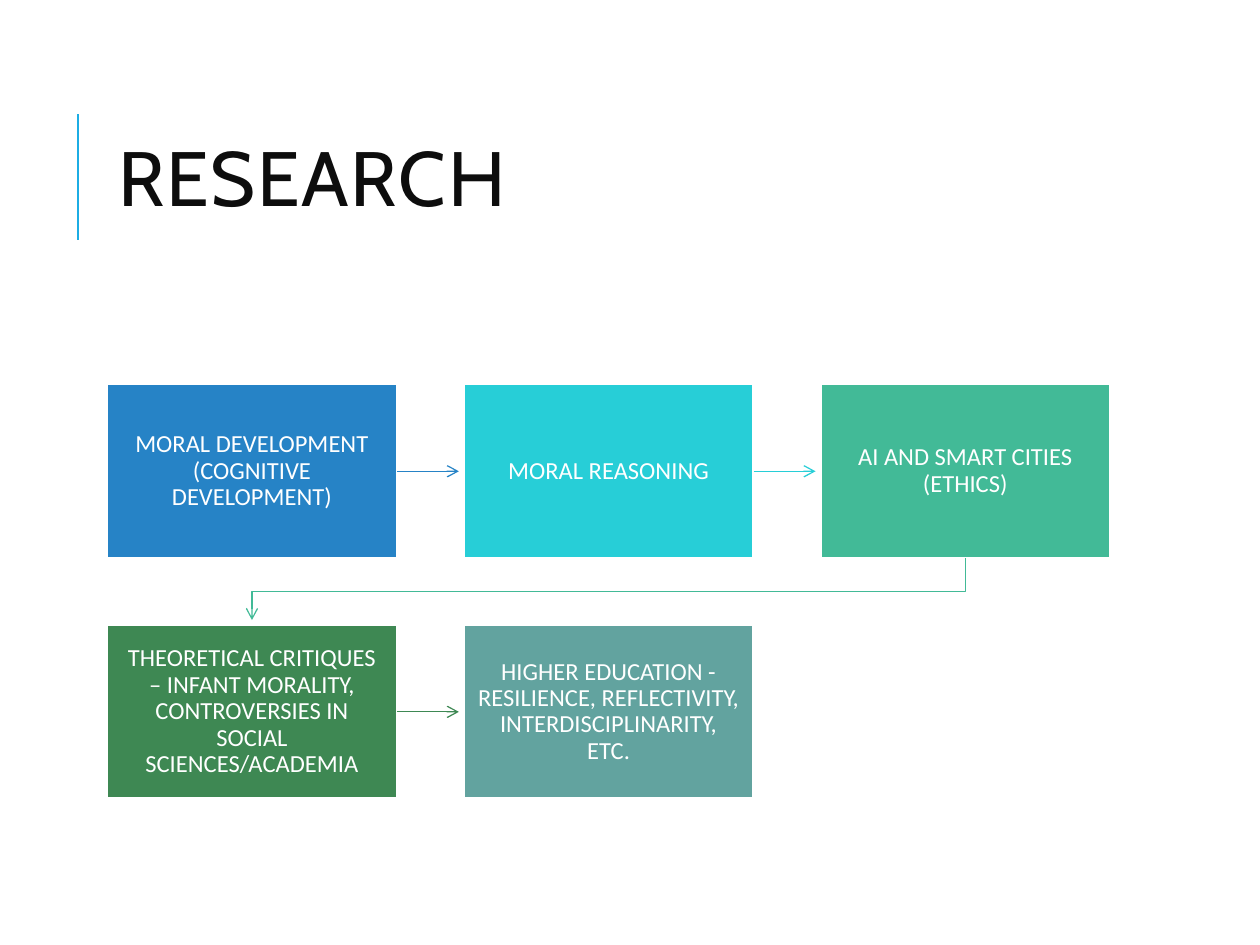
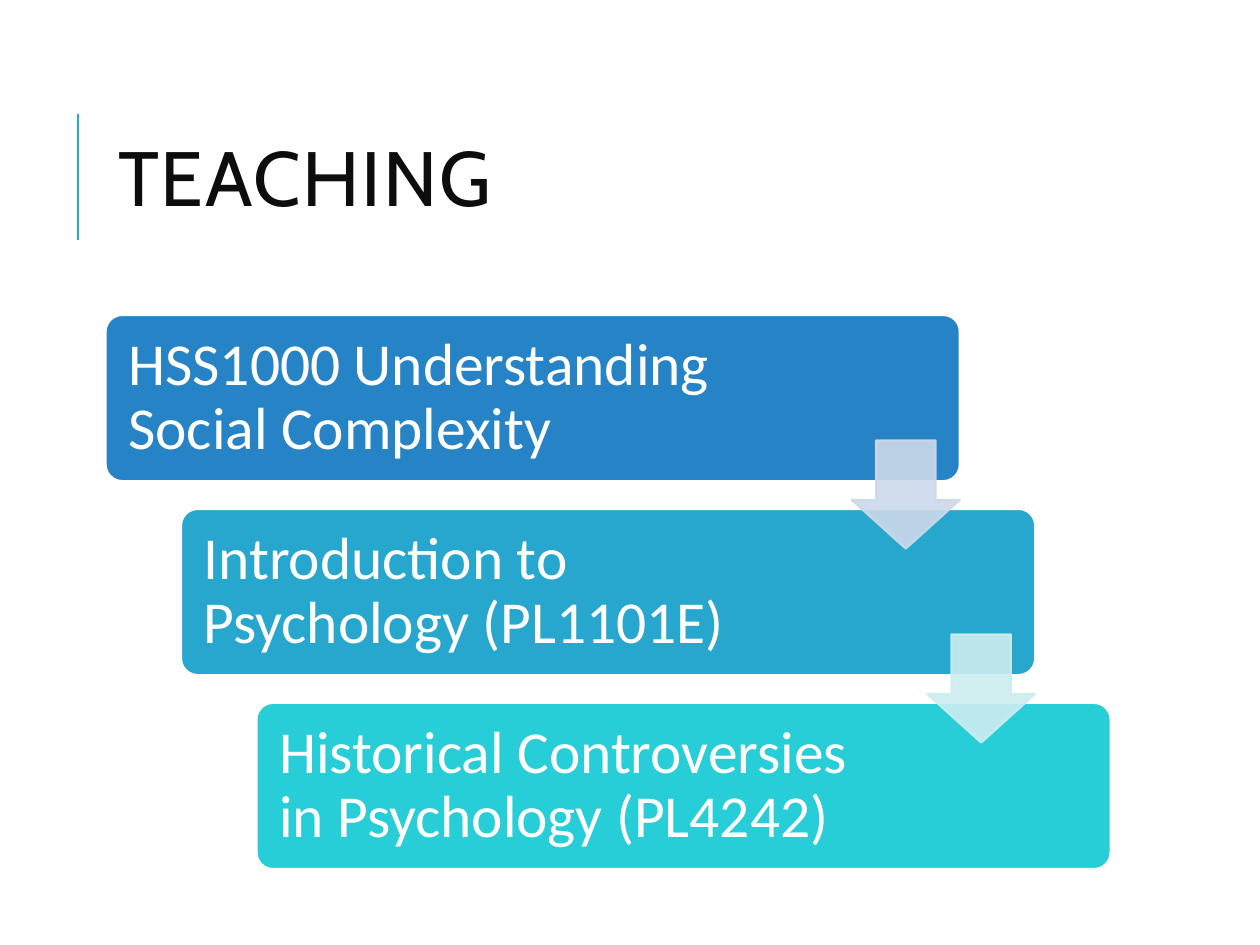
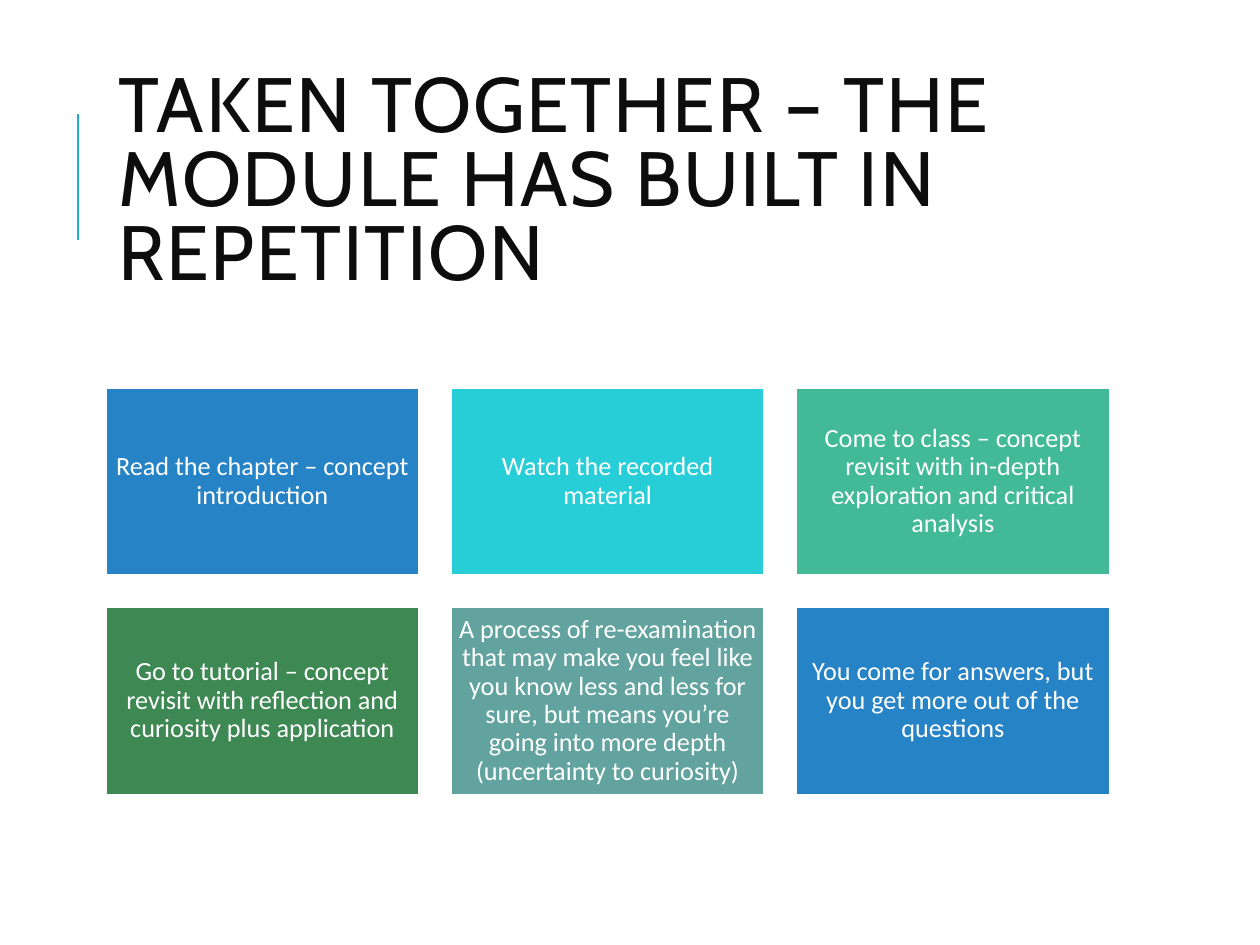
from dataclasses import dataclass
from itertools import cycle, pairwise

from lxml.etree import SubElement
from pptx import Presentation
from pptx.dml.color import RGBColor
from pptx.enum.shapes import MSO_CONNECTOR, MSO_SHAPE
from pptx.enum.text import MSO_ANCHOR, MSO_AUTO_SIZE, PP_ALIGN
from pptx.oxml.ns import qn
from pptx.util import Cm, Pt


@dataclass(frozen=True)
class Theme:
    title_font: str = "Cabin"
    body_font: str = "Calibri"
    title_size: int = 44
    course_size: int = 34
    topic_size: int = 14
    step_size: int = 15
    ink: str = "0D0D0D"
    white: str = "FFFFFF"
    accent: str = "1CADE4"
    tiles: tuple = ("2683C6", "27CED7", "42BA97", "3E8853", "62A39F")
    courses: tuple = ("2683C6", "27A7CE", "27CED7")
    course_arrows: tuple = ("CDD9EA", "CDEDF0")


@dataclass(frozen=True)
class Box:
    """A region, with its lengths in centimetres."""
    left: float
    top: float
    width: float
    height: float

    def lengths(self):
        return Cm(self.left), Cm(self.top), Cm(self.width), Cm(self.height)


THEME = Theme()
TITLE_BOX = Box(2.13, 1.63, 20.24, 4.17)

TOPICS = (
    "MORAL DEVELOPMENT (COGNITIVE DEVELOPMENT)",
    "MORAL REASONING",
    "AI AND SMART CITIES (ETHICS)",
    "THEORETICAL CRITIQUES – INFANT MORALITY, CONTROVERSIES IN SOCIAL SCIENCES/ACADEMIA",
    "HIGHER EDUCATION - RESILIENCE, REFLECTIVITY, INTERDISCIPLINARITY, ETC.",
)
COURSES = (
    "HSS1000 Understanding Social Complexity",
    "Introduction to Psychology (PL1101E)",
    "Historical Controversies in Psychology (PL4242)",
)
STEPS = (
    "Read the chapter – concept introduction",
    "Watch the recorded material",
    "Come to class – concept revisit with in-depth exploration and critical analysis",
    "Go to tutorial – concept revisit with reflection and curiosity plus application",
    "A process of re-examination that may make you feel like you know less and less "
    "for sure, but means you’re going into more depth (uncertainty to curiosity)",
    "You come for answers, but you get more out of the questions",
)


def write(shape, text, font, size, color, line_spacing, align=PP_ALIGN.LEFT):
    frame = shape.text_frame
    frame.word_wrap = True
    frame.auto_size = MSO_AUTO_SIZE.NONE
    frame.vertical_anchor = MSO_ANCHOR.MIDDLE
    para = frame.paragraphs[0]
    para.alignment = align
    para.line_spacing = line_spacing
    span = para.add_run()
    span.text = text
    span.font.name = font
    span.font.size = Pt(size)
    span.font.color.rgb = RGBColor.from_string(color)
    return span


def set_margins(shape, left, top, right, bottom):
    frame = shape.text_frame
    frame.margin_left, frame.margin_top = Cm(left), Cm(top)
    frame.margin_right, frame.margin_bottom = Cm(right), Cm(bottom)


def add_filled(slide, kind, box, fill, outline):
    shape = slide.shapes.add_shape(kind, *box.lengths())
    shape.shadow.inherit = False
    shape.fill.solid()
    shape.fill.fore_color.rgb = RGBColor.from_string(fill)
    shape.line.color.rgb = RGBColor.from_string(outline)
    shape.line.width = Pt(1.25)
    return shape


def set_opacity(shape, percent):
    for color in shape.element.spPr.iter(qn("a:srgbClr")):
        SubElement(color, qn("a:alpha"), val=str(percent * 1000))


def style_line(line_shape, color, width, arrow=False):
    line_shape.line.color.rgb = RGBColor.from_string(color)
    line_shape.line.width = Pt(width)
    properties = line_shape.element.spPr
    if arrow:
        SubElement(properties.find(qn("a:ln")), qn("a:tailEnd"), type="arrow")
    if properties.find(qn("a:effectLst")) is None:
        SubElement(properties, qn("a:effectLst"))


def prepare_layout(deck):
    """Place the title and the accent rule on the layout all slides share."""
    layout = deck.slide_layouts.get_by_name("Title Only")
    title = layout.placeholders[0]
    title.left, title.top, title.width, title.height = TITLE_BOX.lengths()
    return layout


def add_titled_slide(deck, layout, text):
    slide = deck.slides.add_slide(layout)
    rule = slide.shapes.add_connector(
        MSO_CONNECTOR.STRAIGHT, Cm(1.57), Cm(4.83), Cm(1.57), Cm(2.29))
    style_line(rule, THEME.accent, 1.5)
    span = write(slide.shapes.title, text, THEME.title_font, THEME.title_size,
                 THEME.ink, 0.8)
    span.font._element.set("spc", "100")
    return slide


def add_tile_grid(slide, area, labels, gap, size, margins, columns=3, rows=2):
    width = (area.width - (columns - 1) * gap) / columns
    height = (area.height - (rows - 1) * gap) / rows
    tiles = []
    for index, (label, color) in enumerate(zip(labels, cycle(THEME.tiles))):
        row, column = divmod(index, columns)
        box = Box(area.left + column * (width + gap),
                  area.top + row * (height + gap), width, height)
        tile = add_filled(slide, MSO_SHAPE.RECTANGLE, box, color, THEME.white)
        set_margins(tile, *margins)
        write(tile, label, THEME.body_font, size, THEME.white, 0.9, PP_ALIGN.CENTER)
        tiles.append(tile)
    return tiles


def link_across(slide, source, target, color):
    middle = source.top + source.height // 2
    arrow = slide.shapes.add_connector(
        MSO_CONNECTOR.STRAIGHT, source.left + source.width, middle,
        target.left - Cm(0.1), middle)
    arrow.begin_connect(source, 3)
    style_line(arrow, color, 0.75, arrow=True)


def link_to_next_row(slide, source, target, color):
    start_x = source.left + source.width // 2
    end_x = target.left + target.width // 2
    bottom = source.top + source.height
    turn = (bottom + target.top) // 2
    builder = slide.shapes.build_freeform(start_x, bottom)
    builder.add_line_segments(
        [(start_x, turn), (end_x, turn), (end_x, target.top - Cm(0.1))], close=False)
    path = builder.convert_to_shape()
    path.fill.background()
    style_line(path, color, 0.75, arrow=True)


def add_topic_flow(slide, area):
    tiles = add_tile_grid(slide, area, TOPICS, 1.35, THEME.topic_size,
                          (0.28, 0.3, 0.28, 0.3))
    for (source, target), color in zip(pairwise(tiles), THEME.tiles):
        link = link_across if source.top == target.top else link_to_next_row
        link(slide, source, target, color)


def add_course_stairs(slide, area):
    step_x, step_y, arrow_side = 1.52, 3.91, 2.18
    last = len(COURSES) - 1
    width, height = area.width - last * step_x, area.height - last * step_y
    boxes = [Box(area.left + i * step_x, area.top + i * step_y, width, height)
             for i in range(len(COURSES))]
    for box, course, color in zip(boxes, COURSES, THEME.courses):
        card = add_filled(slide, MSO_SHAPE.ROUNDED_RECTANGLE, box, color, THEME.white)
        card.adjustments[0] = 0.1
        set_margins(card, 0.36, 0.36, 4.06, 0.36)
        write(card, course, THEME.body_font, THEME.course_size, THEME.white, 0.9)
    for box, color in zip(boxes, THEME.course_arrows):
        place = Box(box.left + width - arrow_side, box.top + 2.53, arrow_side, arrow_side)
        arrow = add_filled(slide, MSO_SHAPE.DOWN_ARROW, place, color, color)
        arrow.adjustments[0], arrow.adjustments[1] = 0.55, 0.45
        set_opacity(arrow, 90)


def main():
    deck = Presentation()
    deck.slide_width, deck.slide_height = Cm(25.4), Cm(19.05)
    layout = prepare_layout(deck)

    research = add_titled_slide(deck, layout, "RESEARCH")
    add_topic_flow(research, Box(2.16, 7.75, 20.22, 8.35))

    teaching = add_titled_slide(deck, layout, "TEACHING")
    add_course_stairs(teaching, Box(2.13, 6.35, 20.26, 11.17))

    repetition = add_titled_slide(
        deck, layout, "TAKEN TOGETHER – THE MODULE HAS BUILT IN REPETITION")
    add_tile_grid(repetition, Box(2.13, 7.82, 20.24, 8.2), STEPS, 0.64,
                  THEME.step_size, (0.15, 0.15, 0.15, 0.15))

    deck.save("out.pptx")


if __name__ == "__main__":
    main()
